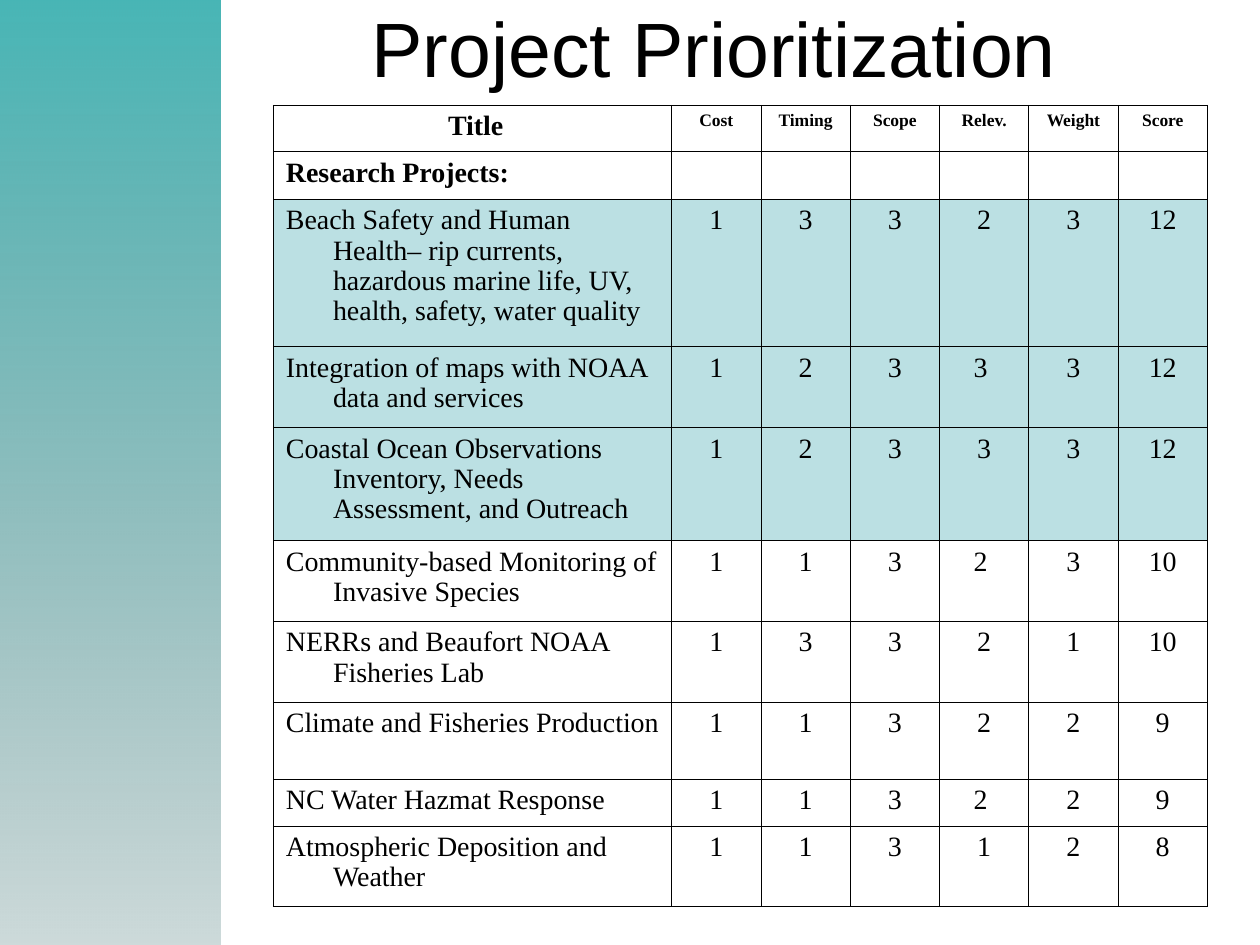
import pptx
import pptx.dml.color
import pptx.enum.shapes
import pptx.enum.text
import pptx.oxml.ns
import pptx.util
from lxml import etree

Cm = pptx.util.Cm
Pt = pptx.util.Pt
RGBColor = pptx.dml.color.RGBColor
Align = pptx.enum.text.PP_ALIGN
qn = pptx.oxml.ns.qn

BLACK = RGBColor(0x00, 0x00, 0x00)
TEAL = RGBColor(0x00, 0x99, 0x99)
DARK_TEAL = RGBColor(0x00, 0x46, 0x46)
PALE_TEAL = RGBColor(0xBB, 0xE0, 0xE3)

HEADINGS = [" Title", "Cost", "Timing", "Scope", "Relev.", "Weight", "Score"]
SECTION = ["Research Projects:"] + [""] * 6
PROJECTS = [
    ["Beach Safety and Human Health– rip currents, hazardous marine life, UV, "
     "health, safety, water quality", "1", "3", "3", "2", "3", "12"],
    ["Integration of maps with NOAA data and services", "1", "2", "3", "3 ", "3", "12"],
    ["Coastal Ocean Observations Inventory, Needs Assessment, and Outreach",
     "1", "2", "3", "3", "3", "12"],
    ["Community-based Monitoring of Invasive Species", "1", "1", "3", "2 ", "3", "10"],
    ["NERRs and Beaufort NOAA Fisheries Lab", "1", "3", "3", "2", "1", "10"],
    ["Climate and Fisheries Production", "1", "1", "3", "2", "2", "9"],
    ["NC Water Hazmat Response", "1", "1", "3", "2 ", "2", "9"],
    ["Atmospheric Deposition and Weather", "1", "1", "3", "1", "2", "8"],
]
ROW_HEIGHTS = [0.94, 0.96, 2.97, 1.63, 2.28, 1.63, 1.63, 1.55, 0.94, 1.63]
SCORE_WIDTH = 1.8
TOP_SCORE = "12"


def add_side_band(page, left, top, width, height):
    """Draw the translucent gradient band."""
    band = page.shapes.add_shape(pptx.enum.shapes.MSO_SHAPE.RECTANGLE,
                                 Cm(left), Cm(top), Cm(width), Cm(height))
    band.shadow.inherit = False
    band.line.fill.background()
    band.fill.gradient()
    band.fill.gradient_angle = 270
    shades = [(0, TEAL, 72), (1, DARK_TEAL, 20)]
    for stop, (position, color, opacity) in zip(band.fill.gradient_stops, shades):
        stop.position = position
        stop.color.rgb = color
    tints = band._element.spPr.iter(qn("a:srgbClr"))
    for tint, (position, color, opacity) in zip(tints, shades):
        etree.SubElement(tint, qn("a:alpha"), val=str(opacity * 1000))


def add_title(page, left, top, width, height):
    """Write the centred slide title."""
    box = page.shapes.add_textbox(Cm(left), Cm(top), Cm(width), Cm(height))
    frame = box.text_frame
    frame.word_wrap = True
    frame.vertical_anchor = pptx.enum.text.MSO_ANCHOR.MIDDLE
    para = frame.paragraphs[0]
    para.text = "Project Prioritization"
    para.alignment = Align.CENTER
    style_font(para.font, "Arial", 44)


def style_font(font, name, size, bold=False):
    """Set the typeface, size and weight of black text."""
    font.name = name
    font.size = Pt(size)
    font.bold = bold
    font.color.rgb = BLACK


def add_borders(cell):
    """Rule all four sides of a cell."""
    properties = cell._tc.get_or_add_tcPr()
    for side in ("a:lnL", "a:lnR", "a:lnT", "a:lnB"):
        line = etree.SubElement(properties, qn(side), w=str(Pt(0.45)))
        fill = etree.SubElement(line, qn("a:solidFill"))
        etree.SubElement(fill, qn("a:srgbClr"), val=str(BLACK))


def fill_cell(cell, text, size, bold, alignment, highlighted):
    """Write and style one table cell."""
    add_borders(cell)
    if highlighted:
        cell.fill.solid()
        cell.fill.fore_color.rgb = PALE_TEAL
    else:
        cell.fill.background()
    para = cell.text_frame.paragraphs[0]
    para.text = text
    para.alignment = alignment
    para.line_spacing = 0.97
    if text != "Relev.":
        indent = Cm(0.95)
        properties = para._p.get_or_add_pPr()
        properties.set("marL", str(indent))
        properties.set("indent", str(-indent))
    style_font(para.font, "Times New Roman", size, bold)


def add_score_table(page, left, top, width):
    """Build the project scoring table."""
    rows = [HEADINGS, SECTION] + PROJECTS
    count = len(HEADINGS)
    table = page.shapes.add_table(len(rows), count, Cm(left), Cm(top),
                                  Cm(width), Cm(sum(ROW_HEIGHTS))).table
    table.first_row = False
    table.horz_banding = False
    for index, column in enumerate(table.columns):
        column.width = Cm(SCORE_WIDTH if index else width - SCORE_WIDTH * (count - 1))
    for row_index, values in enumerate(rows):
        table.rows[row_index].height = Cm(ROW_HEIGHTS[row_index])
        for column_index, text in enumerate(values):
            is_heading = row_index == 0
            centred = is_heading or column_index > 0
            fill_cell(table.cell(row_index, column_index), text,
                      size=10 if is_heading and column_index else 16,
                      bold=row_index < 2,
                      alignment=Align.CENTER if centred else Align.LEFT,
                      highlighted=values[-1] == TOP_SCORE)


def main():
    """Build and save the deck."""
    deck = pptx.Presentation()
    deck.slide_width = Cm(25.4)
    deck.slide_height = Cm(19.05)
    page = deck.slides.add_slide(deck.slide_layouts[6])
    add_side_band(page, 0, 0, 4.45, 19.05)
    add_title(page, 2.97, -0.64, 22.86, 3.18)
    add_score_table(page, 5.51, 2.12, 18.83)
    deck.save("out.pptx")


if __name__ == "__main__":
    main()
